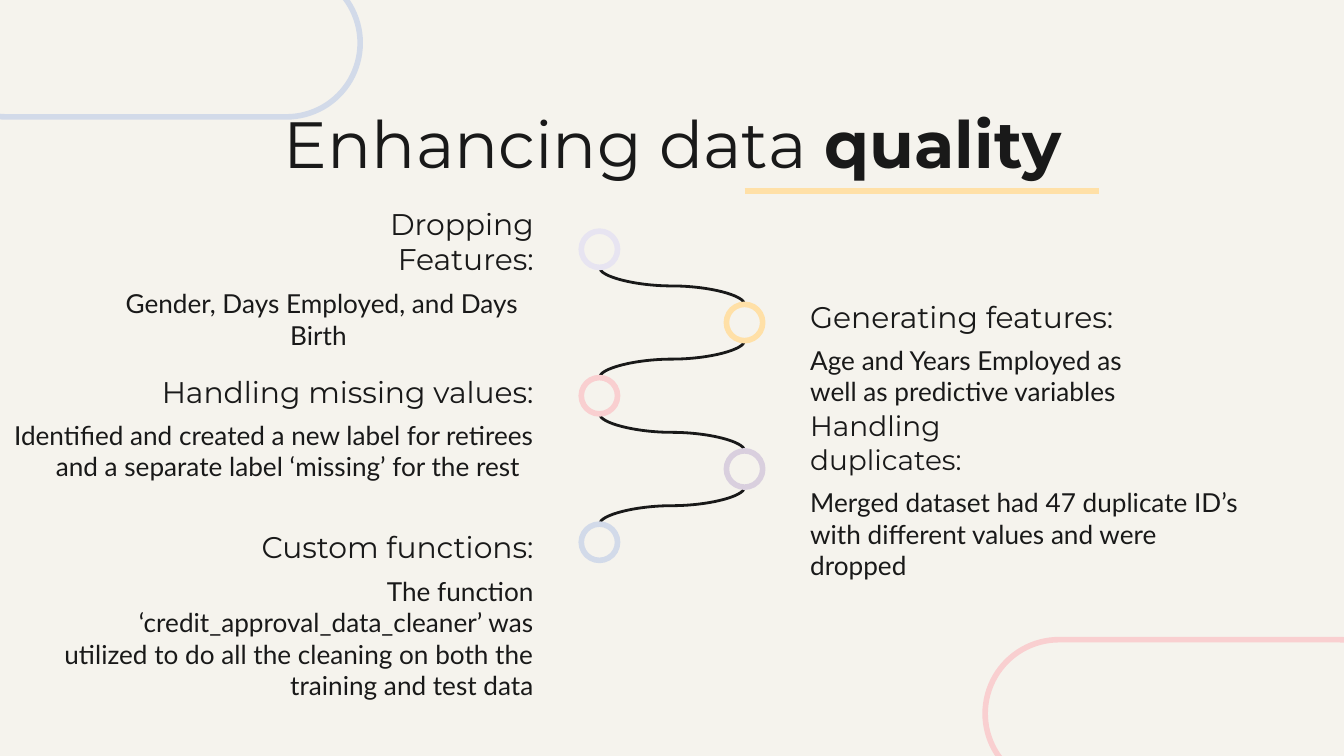
from itertools import pairwise
from typing import NamedTuple

from lxml.etree import SubElement
from pptx import Presentation
from pptx.dml.color import RGBColor
from pptx.enum.shapes import MSO_CONNECTOR, MSO_SHAPE
from pptx.enum.text import MSO_ANCHOR, PP_ALIGN
from pptx.oxml.ns import qn
from pptx.util import Inches, Pt

COLORS = {
    "paper": "F5F3ED",
    "ink": "191919",
    "blue": "D2DAE9",
    "pink": "F9CFD0",
    "lilac": "E7E4F1",
    "yellow": "FFE0A7",
    "mauve": "D9CFDE",
}
RING = 0.27
RING_TOP = 1.72
RING_BOTTOM = 3.9
RING_X = (4.46, 5.54)
LEFT, CENTER, RIGHT = PP_ALIGN.LEFT, PP_ALIGN.CENTER, PP_ALIGN.RIGHT


class Box(NamedTuple):
    x: float
    y: float
    w: float
    h: float


class Run(NamedTuple):
    text: str
    size: float
    font: str = "Montserrat"
    bold: bool = False


class Step(NamedTuple):
    heading: str
    heading_box: Box
    body: str
    body_box: Box
    ring_color: str
    heading_align: PP_ALIGN
    body_align: PP_ALIGN
    heading_size: float = 16


STEPS = [
    Step("Dropping Features:", Box(1.75, 1.59, 2.32, 0.57),
         " Gender, Days Employed, and Days Birth", Box(0.67, 2.04, 3.4, 0.42),
         "lilac", RIGHT, CENTER),
    Step("Generating features:", Box(5.93, 2.02, 2.54, 0.57),
         "Age and Years Employed as well as predictive variables",
         Box(5.93, 2.46, 2.64, 0.57), "yellow", LEFT, LEFT),
    Step("Handling missing values:", Box(0.67, 2.58, 3.4, 0.57),
         "Identified and created a new label for retirees and a separate "
         "label ‘missing’ for the rest  ",
         Box(0, 3.02, 4.07, 0.63), "pink", RIGHT, RIGHT),
    Step("Handling duplicates:", Box(5.93, 3.07, 2.34, 0.57),
         "Merged dataset had 47 duplicate ID’s with different values and "
         "were dropped",
         Box(5.93, 3.52, 3.4, 0.65), "mauve", LEFT, LEFT, 15),
    Step("Custom functions:", Box(1.73, 3.73, 2.34, 0.57),
         "The function ‘credit_approval_data_cleaner’ was utilized to do all "
         "the cleaning on both the training and test data",
         Box(0.31, 4.18, 3.76, 0.78), "blue", RIGHT, RIGHT),
]


def rgb(name: str) -> RGBColor:
    return RGBColor.from_string(COLORS[name])


def add_text(s, box: Box, runs: list[Run], align: PP_ALIGN,
             anchor: MSO_ANCHOR = MSO_ANCHOR.TOP) -> None:
    tf = s.shapes.add_textbox(*map(Inches, box)).text_frame
    tf.word_wrap = True
    tf.vertical_anchor = anchor
    tf.margin_left = tf.margin_right = Inches(0.1)
    tf.margin_top = tf.margin_bottom = Inches(0.1)
    p = tf.paragraphs[0]
    p.alignment = align
    for run in runs:
        r = p.add_run()
        r.text = run.text
        r.font.size = Pt(run.size)
        r.font.name = run.font
        r.font.bold = run.bold
        r.font.color.rgb = rgb("ink")


def add_outline(s, kind: MSO_SHAPE, box: Box, color: str):
    sp = s.shapes.add_shape(kind, *map(Inches, box))
    sp.shadow.inherit = False
    sp.fill.background()
    sp.line.color.rgb = rgb(color)
    sp.line.width = Pt(3)
    return sp


def add_line(s, kind: MSO_CONNECTOR, x1: float, y1: float, x2: float,
             y2: float, color: str, width: float):
    cxn = s.shapes.add_connector(kind, *map(Inches, (x1, y1, x2, y2)))
    cxn.line.color.rgb = rgb(color)
    cxn.line.width = Pt(width)
    SubElement(cxn._element.spPr, qn("a:effectLst"))
    return cxn


def add_curve(s, x1: float, y1: float, x2: float, y2: float) -> None:
    cx, cy = (x1 + x2) / 2, (y1 + y2) / 2
    half_w, half_h = (y2 - y1) / 2, abs(x2 - x1) / 2
    side = 1 if x2 > x1 else -1
    cxn = add_line(s, MSO_CONNECTOR.CURVE, cx + side * half_w, cy - half_h,
                   cx - side * half_w, cy + half_h, "ink", 1.5)
    angle = 270 if side == 1 else 90
    cxn._element.spPr.find(qn("a:xfrm")).set("rot", str(angle * 60000))


def main() -> None:
    prs = Presentation()
    prs.slide_width = Inches(10)
    prs.slide_height = prs.slide_width * 9 // 16
    s = prs.slides.add_slide(prs.slide_layouts[6])
    s.background.fill.solid()
    s.background.fill.fore_color.rgb = rgb("paper")

    for x, y, color in [(-0.5, -0.23, "blue"), (7.33, 4.76, "pink")]:
        sp = add_outline(s, MSO_SHAPE.ROUNDED_RECTANGLE,
                         Box(x, y, 3.18, 1.1), color)
        sp.adjustments[0] = 0.5

    add_text(s, Box(0.79, 0.67, 8.43, 0.63),
             [Run("Enhancing data ", 35), Run("quality", 35, bold=True)],
             CENTER)
    add_line(s, MSO_CONNECTOR.STRAIGHT, 5.54, 1.42, 8.18, 1.42, "yellow", 3)

    pitch = (RING_BOTTOM - RING_TOP) / (len(STEPS) - 1)
    centers = [(RING_X[i % 2], RING_TOP + RING / 2 + i * pitch)
               for i in range(len(STEPS))]
    for (x1, y1), (x2, y2) in pairwise(centers):
        add_curve(s, x1, y1 + RING / 2, x2, y2 - RING / 2)

    for step, (x, y) in zip(STEPS, centers):
        ring = add_outline(s, MSO_SHAPE.OVAL,
                           Box(x - RING / 2, y - RING / 2, RING, RING),
                           step.ring_color)
        ring.fill.solid()
        ring.fill.fore_color.rgb = rgb("paper")
        add_text(s, step.heading_box, [Run(step.heading, step.heading_size)],
                 step.heading_align, MSO_ANCHOR.BOTTOM)
        add_text(s, step.body_box, [Run(step.body, 14, "Lato")],
                 step.body_align)

    prs.save("out.pptx")


if __name__ == "__main__":
    main()
